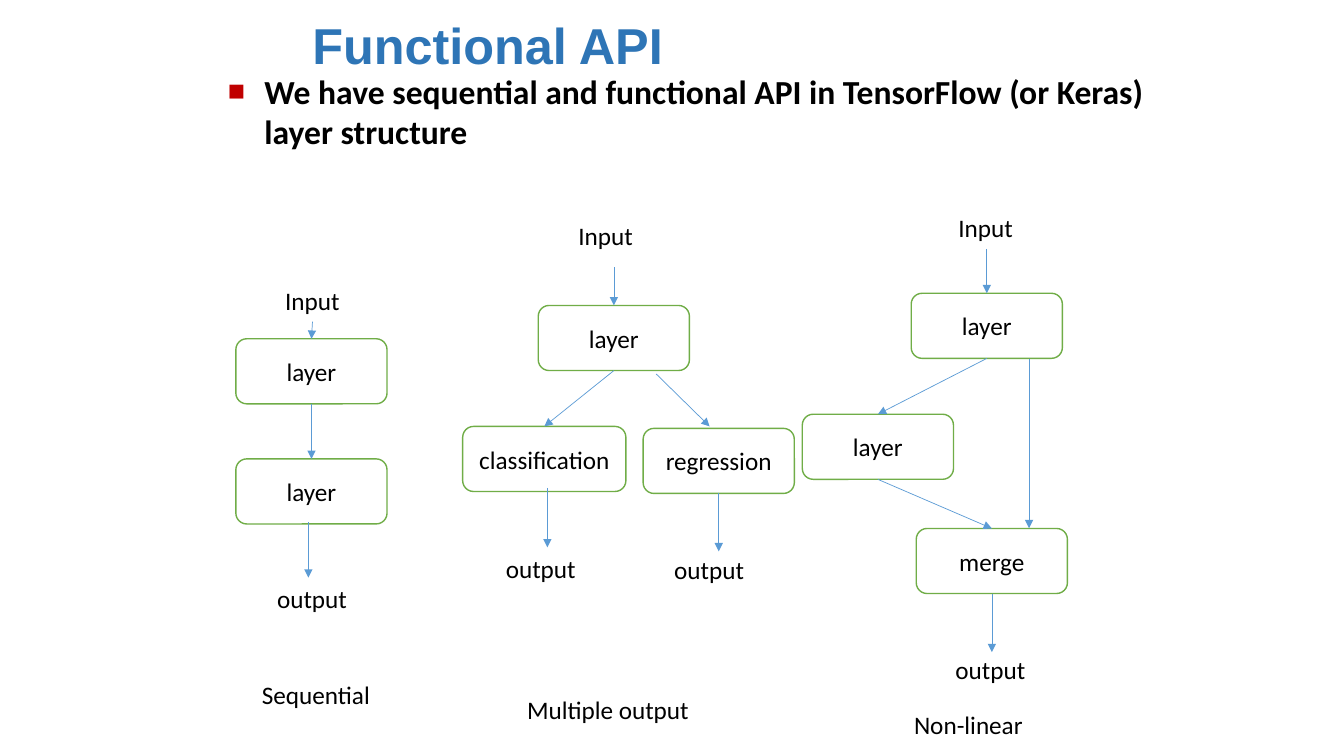
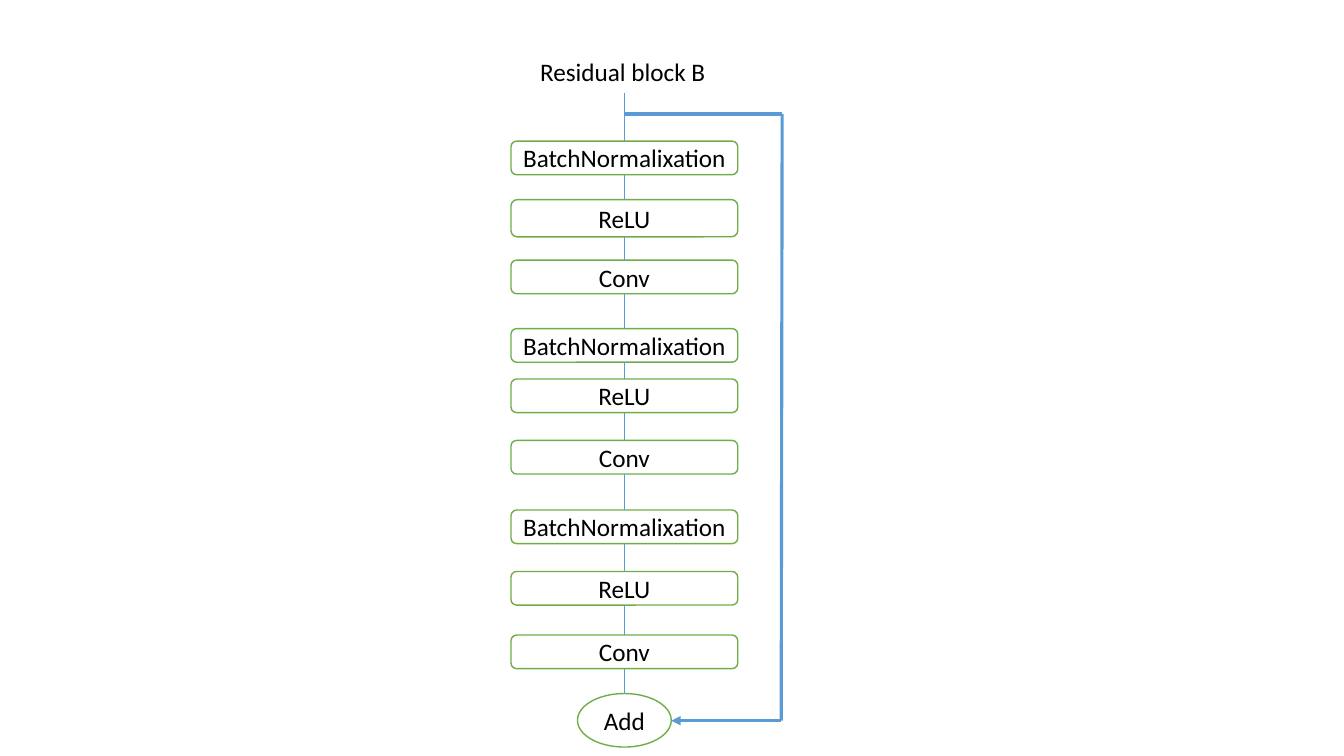
"""Build two slides on functional API layer graphs and a residual block."""
from dataclasses import dataclass, field
from itertools import pairwise

from lxml import etree
from pptx import Presentation
from pptx import util as u
from pptx.dml.color import RGBColor
from pptx.enum import shapes, text
from pptx.oxml.ns import qn


@dataclass(frozen=True)
class Theme:
    paper: str = "FFFFFF"
    ink: str = "000000"
    title: str = "2E75B6"
    bullet: str = "C00000"
    node: str = "70AD47"
    link: str = "5B9BD5"
    thin: float = 0.5
    thick: float = 2.25
    outline: float = 1
    fonts: dict = field(default_factory=lambda: {
        "title": {"name": "Arial", "size": u.Pt(36), "bold": True},
        "point": {"name": "Calibri", "size": u.Pt(24), "bold": True},
        "label": {"name": "Calibri", "size": u.Pt(18), "bold": False},
    })


class Deck:
    def __init__(self, theme):
        self.theme = theme
        self.prs = Presentation()
        self.prs.slide_width, self.prs.slide_height = u.Pt(960), u.Pt(540)
        self.s = None

    def slide(self):
        self.s = self.prs.slides.add_slide(self.prs.slide_layouts[6])

    def add_words(self, tf, words, style, color):
        p = tf.paragraphs[0]
        r = p.add_run()
        r.text = words
        for name, value in self.theme.fonts[style].items():
            setattr(r.font, name, value)
        r.font.color.rgb = RGBColor.from_string(color)
        return p

    def textbox(self, words, x, y, w, h, style="label", color=None, wrap=False):
        tf = self.s.shapes.add_textbox(*map(u.Pt, (x, y, w, h))).text_frame
        tf.word_wrap = wrap
        tf.auto_size = text.MSO_AUTO_SIZE.SHAPE_TO_FIT_TEXT
        return self.add_words(tf, words, style, color or self.theme.ink)

    def title(self, words):
        self.textbox(words, 216, 6.5, 598, 51, "title", self.theme.title, True)

    def point(self, words):
        p = self.textbox(words, 154.8, 46.8, 720, 65.5, "point", wrap=True)
        pPr = p._p.get_or_add_pPr()
        for name, value in {"marL": 27, "indent": -27}.items():
            pPr.set(name, str(u.Pt(value)))
        color = etree.SubElement(pPr, qn("a:buClr"))
        etree.SubElement(color, qn("a:srgbClr"), val=self.theme.bullet)
        etree.SubElement(pPr, qn("a:buSzPct"), val="166000")
        etree.SubElement(pPr, qn("a:buFont"), typeface="Arial")
        etree.SubElement(pPr, qn("a:buChar"), char="▪")

    def label(self, words, x, y, w=65):
        self.textbox(words, x, y, w, 29)

    def node(self, words, x, y, w=108, h=46.5, kind="ROUNDED_RECTANGLE"):
        preset = getattr(shapes.MSO_SHAPE, kind)
        sp = self.s.shapes.add_shape(preset, *map(u.Pt, (x, y, w, h)))
        sp.shadow.inherit = False
        sp.fill.solid()
        sp.fill.fore_color.rgb = RGBColor.from_string(self.theme.paper)
        sp.line.color.rgb = RGBColor.from_string(self.theme.node)
        sp.line.width = u.Pt(self.theme.outline)
        tf = sp.text_frame
        frame = dict.fromkeys(
            ("margin_left", "margin_top", "margin_right", "margin_bottom"), 0)
        frame.update(vertical_anchor=text.MSO_ANCHOR.MIDDLE, word_wrap=True)
        for name, value in frame.items():
            setattr(tf, name, value)
        p = self.add_words(tf, words, "label", self.theme.ink)
        p.alignment = text.PP_ALIGN.CENTER
        return sp

    def link(self, start, end, arrow=True, width=None):
        a, b = (spot if isinstance(spot, tuple) else (0, 0)
                for spot in (start, end))
        line = self.s.shapes.add_connector(
            shapes.MSO_CONNECTOR.STRAIGHT, *map(u.Pt, a + b))
        if not isinstance(start, tuple):
            line.begin_connect(start, 2)
        if not isinstance(end, tuple):
            line.end_connect(end, 0)
        line.line.color.rgb = RGBColor.from_string(self.theme.link)
        line.line.width = u.Pt(width or self.theme.thin)
        spPr = line.element.spPr
        if arrow:
            etree.SubElement(spPr.find(qn("a:ln")), qn("a:tailEnd"), type="triangle")
        etree.SubElement(spPr, qn("a:effectLst"))


def functional_api(deck):
    deck.slide()
    deck.point("We have sequential and functional API in TensorFlow (or Keras) "
               "layer structure")
    deck.title("Functional API")

    for x, y in ((196.6, 200.2), (406.1, 154.1), (677.5, 148.3)):
        deck.label("Input", x, y, 54)
    for x, y in ((190.8, 413.3), (354.2, 391.7), (474.5, 392.4), (675.4, 463.7)):
        deck.label("output", x, y)
    for words, x, y, w in (("Sequential", 180, 481.7, 97),
                           ("Multiple output", 369.4, 492.5, 132),
                           ("Non-linear", 645.8, 503.3, 93)):
        deck.label(words, x, y, w)

    first = deck.node("layer", 168.5, 242)
    second = deck.node("layer", 168.5, 327.8)
    shared = deck.node("layer", 384.5, 218.2)
    classify = deck.node("classification", 330.5, 304.6, 116.6)
    regress = deck.node("regression", 459.4, 306)
    fork = deck.node("layer", 650.9, 209.5)
    branch = deck.node("layer", 573.1, 295.9)
    merge = deck.node("merge", 654.5, 377.5)

    for start, end in (
            ((223.2, 229.7), first), (first, second),
            ((220.3, 373), (220.3, 412.6)),
            ((438.5, 190.8), shared), (shared, classify),
            ((468.7, 267.1), (506.9, 304.6)),
            ((391, 348.5), (391, 391)), (regress, (513.4, 393.8)),
            ((704.9, 177.8), fork), (fork, branch),
            ((735.1, 256.3), (735.1, 377.3)),
            (branch, merge), (merge, (708.5, 465.8))):
        deck.link(start, end)


def residual_block(deck):
    deck.slide()
    deck.label("Residual block B", 378.7, 36.7, 134)
    names = ("BatchNormalixation", "ReLU", "Conv") * 3
    tops = (100.8, 142.6, 185.8, 234.7, 270.7, 314.6, 364.3, 408.2, 453.6)
    chain = [deck.node(name, 365, top, 162, 26.6 if top == tops[1] else 24)
             for name, top in zip(names, tops)]
    chain.append(deck.node("Add", 412.5, 495.4, 67, 38.2, "OVAL"))
    for start, end in pairwise([(446, 66.2), *chain]):
        deck.link(start, end, arrow=False)

    corners = ((446, 81.4), (558.7, 81.4), (558, 514.8), (479.5, 514.8))
    for start, end in pairwise(corners):
        deck.link(start, end, end == corners[-1], deck.theme.thick)


def main():
    deck = Deck(Theme())
    functional_api(deck)
    residual_block(deck)
    deck.prs.save("out.pptx")


if __name__ == "__main__":
    main()
